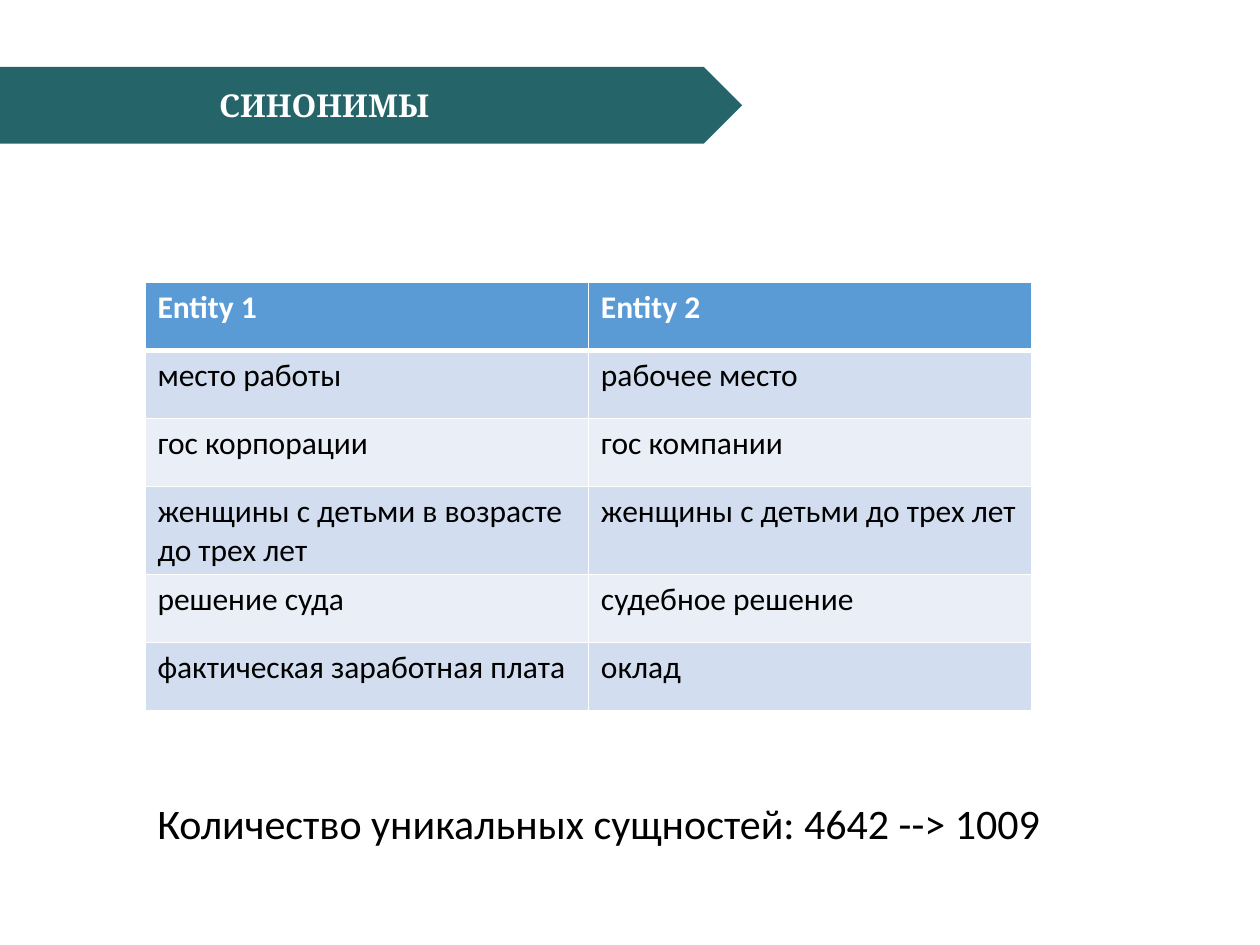
from lxml.etree import SubElement
from pptx import Presentation
from pptx.dml.color import RGBColor
from pptx.enum.shapes import MSO_SHAPE as Shape
from pptx.enum.text import MSO_AUTO_SIZE as AutoSize
from pptx.oxml.ns import qn
from pptx.util import Inches, Pt

TITLE = "СИНОНИМЫ"
SYNONYMS = [
    ("Entity 1", "Entity 2"),
    ("место работы", "рабочее место"),
    ("гос корпорации", "гос компании"),
    ("женщины с детьми в возрасте до трех лет", "женщины с детьми до трех лет"),
    ("решение суда", "судебное решение"),
    ("фактическая заработная плата", "оклад"),
]
SUMMARY = "Количество уникальных сущностей: 4642 --> 1009"

COLORS = {
    "banner": "256569",
    "header": "5B9BD5",
    "odd": "D2DEEF",
    "even": "EAEFF7",
    "light": "FFFFFF",
    "dark": "000000",
}
SLIDE_WIDTH, SLIDE_HEIGHT = 10, 7.5
MARGIN = 1.15
COLUMN_WIDTH, ROW_HEIGHT = 3.52, 0.54


def color(name):
    return RGBColor.from_string(COLORS[name])


def box(left, top, width, height):
    return [Inches(value) for value in (left, top, width, height)]


def write(text_frame, text, size, font_name, color_name, bold=False):
    text_frame.text = text
    font = text_frame.paragraphs[0].runs[0].font
    font.size, font.name, font.bold = Pt(size), font_name, bold
    font.color.rgb = color(color_name)


def add_label(slide, area, *style):
    """Add a one-line text box that grows with its text."""
    text_frame = slide.shapes.add_textbox(*box(*area)).text_frame
    text_frame.word_wrap = False
    text_frame.auto_size = AutoSize.SHAPE_TO_FIT_TEXT
    write(text_frame, *style)


def add_borders(cell, widths):
    """Draw white borders; widths maps each side's tag to points."""
    properties = cell._tc.get_or_add_tcPr()
    for side, width in widths.items():
        line = SubElement(properties, qn(f"a:{side}"), w=str(Pt(width)))
        fill = SubElement(line, qn("a:solidFill"))
        SubElement(fill, qn("a:srgbClr"), val=COLORS["light"])


def add_banner(slide):
    banner = slide.shapes.add_shape(Shape.PENTAGON, *box(0, 0.53, 5.89, 0.61))
    banner.shadow.inherit = False
    banner.fill.solid()
    banner.fill.fore_color.rgb = color("banner")
    banner.line.fill.background()


def add_synonym_table(slide):
    rows, columns = len(SYNONYMS), len(SYNONYMS[0])
    area = box(MARGIN, 2.24, columns * COLUMN_WIDTH, rows * ROW_HEIGHT)
    table = slide.shapes.add_table(rows, columns, *area).table
    for row, entities in enumerate(SYNONYMS):
        is_header = row == 0
        fill_name = "header" if is_header else ("even", "odd")[row % 2]
        widths = {
            "lnL": 1,
            "lnR": 1,
            "lnT": 3 if row == 1 else 1,
            "lnB": 3 if is_header else 1,
        }
        for column, entity in enumerate(entities):
            cell = table.cell(row, column)
            add_borders(cell, widths)
            cell.fill.solid()
            cell.fill.fore_color.rgb = color(fill_name)
            text_color = "light" if is_header else "dark"
            write(cell.text_frame, entity, 18, "Calibri", text_color, is_header)


def main():
    presentation = Presentation()
    presentation.slide_width = Inches(SLIDE_WIDTH)
    presentation.slide_height = Inches(SLIDE_HEIGHT)
    slide = presentation.slides.add_slide(presentation.slide_layouts[6])
    add_banner(slide)
    add_label(slide, (1.64, 0.63, 1.95, 0.4), TITLE, 18, "Cambria", "light", True)
    add_synonym_table(slide)
    add_label(slide, (MARGIN, 6.28, 7.27, 0.5), SUMMARY, 24, "Calibri", "dark")
    presentation.save("out.pptx")


if __name__ == "__main__":
    main()
